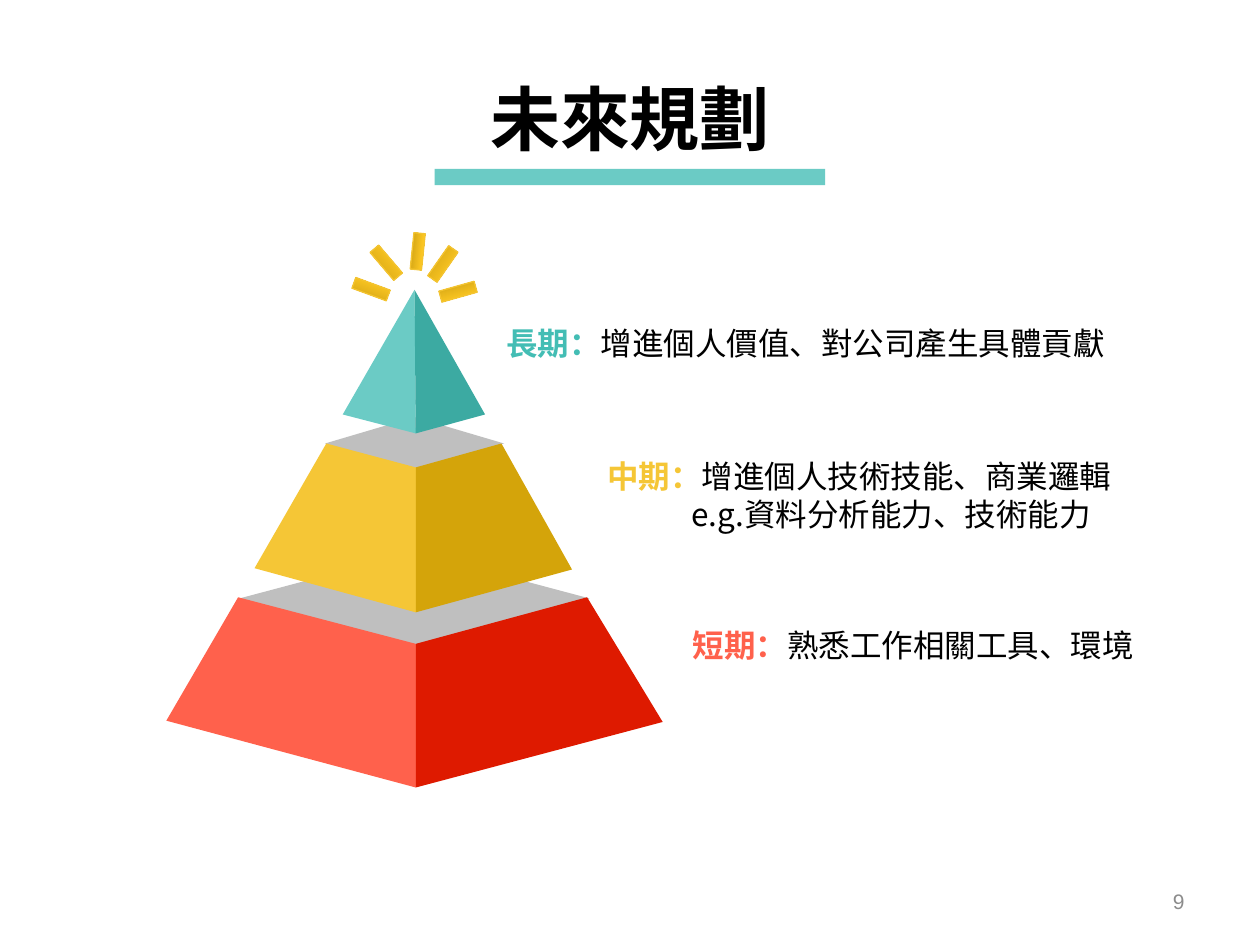
import collections
import pptx
import pptx.dml.color
import pptx.enum.shapes
import pptx.enum.text
import pptx.oxml
import pptx.oxml.ns
import pptx.util

PX = 9144  # 100 px to the inch
ALIGN = pptx.enum.text.PP_ALIGN
SHAPE = pptx.enum.shapes.MSO_SHAPE
Box = collections.namedtuple("Box", "left top width height")
# Points are relative to the pyramid box; the ridge is the front edge.
Tier = collections.namedtuple(
    "Tier", "lid top_left top_right ridge_top base_left base_right ridge_base light dark")


class Theme:
    font, cjk_font = "Arial", "Noto Sans CJK SC"
    title_size, label_size, number_size = 40, 18, 12
    text, muted, lid = "000000", "8C8C8C", "BFBFBF"
    teal, teal_dark, teal_text = "6BCBC5", "3CAAA2", "43BDB4"
    yellow, yellow_dark = "F5C636", "D4A40A"
    red, red_dark = "FF614C", "DE1A00"
    ray_start, ray_end, ray_line = "CC9F13", "FFC923", "F4C430"


TIERS = [
    Tier(Box(58, 243, 278, 74), (57, 279), (334, 279), (198, 316),
         (0, 377), (394, 378), (198, 430), Theme.red, Theme.red_dark),
    Tier(Box(126, 136, 142, 42), (127, 157), (266, 157), (198, 176),
         (70, 256), (322, 257), (198, 291), Theme.yellow, Theme.yellow_dark),
    Tier(None, (197, 35), (197, 35), (197, 35),
         (140, 134), (253, 134), (198, 149), Theme.teal, Theme.teal_dark),
]
# Left, top and rotation of each ray
RAYS = [(0, 30, 20.2), (12, 9, 49.5), (37, 0, 95.9), (57, 10, 125), (69, 32, 164.3)]
LABELS = [
    (Box(392, 252, 558, 40), "長期：", "增進個人價值、對公司產生具體貢獻", None, Theme.teal_text),
    (Box(472, 357, 446, 71), "中期：", "增進個人技術技能、商業邏輯",
     "e.g.資料分析能力、技術能力", Theme.yellow),
    (Box(540, 492, 379, 40), "短期：", "熟悉工作相關工具、環境", None, Theme.red),
]


def rgb(color):
    return pptx.dml.color.RGBColor.from_string(color)


def paint(shape, color):
    shape.shadow.inherit = False
    shape.fill.solid()
    shape.fill.fore_color.rgb = rgb(color)
    shape.line.fill.background()


def add_shape(slide, kind, box):
    return slide.shapes.add_shape(kind, *(length * PX for length in box))


def add_text_frame(slide, box):
    text_frame = slide.shapes.add_textbox(*(length * PX for length in box)).text_frame
    text_frame.word_wrap = True
    text_frame.vertical_anchor = pptx.enum.text.MSO_ANCHOR.MIDDLE
    return text_frame


def format_run(run, font, size, color, bold=False):
    run.font.size = pptx.util.Pt(size)
    run.font.bold = bold
    run.font.color.rgb = rgb(color)
    run.font.name = font
    east_asian = pptx.oxml.parse_xml(
        f'<a:ea {pptx.oxml.ns.nsdecls("a")} typeface="{Theme.cjk_font}"/>')
    run.font._element.append(east_asian)


def add_line(slide, box, text, align, size, color, bold=False):
    paragraph = add_text_frame(slide, box).paragraphs[0]
    paragraph.text = text
    paragraph.alignment = align
    format_run(paragraph.runs[0], Theme.font, size, color, bold)


def add_title(slide, box):
    bar = add_shape(slide, SHAPE.RECTANGLE,
                    Box(box.left + 130, box.top + 79, box.width - 260, 13))
    paint(bar, Theme.teal)
    add_line(slide, box, "未來規劃", ALIGN.CENTER, Theme.title_size, Theme.text, True)


def add_face(slide, box, points, color):
    corners = [(box.left + x, box.top + y) for x, y in points]
    builder = slide.shapes.build_freeform(*corners[0], scale=PX)
    builder.add_line_segments(corners[1:], close=True)
    paint(builder.convert_to_shape(), color)


def add_pyramid(slide, box):
    for tier in TIERS:
        if tier.lid:
            lid = tier.lid
            diamond = add_shape(slide, SHAPE.DIAMOND, lid._replace(
                left=box.left + lid.left, top=box.top + lid.top))
            paint(diamond, Theme.lid)
        add_face(slide, box, [tier.top_left, tier.ridge_top, tier.ridge_base, tier.base_left],
                 tier.light)
        add_face(slide, box, [tier.top_right, tier.base_right, tier.ridge_base, tier.ridge_top],
                 tier.dark)


def add_rays(slide, box):
    for left, top, rotation in RAYS:
        ray = add_shape(slide, SHAPE.RECTANGLE, Box(box.left + left, box.top + top, 29, 9))
        ray.rotation = rotation
        ray.shadow.inherit = False
        ray.fill.gradient()
        ray.fill.gradient_angle = 90
        start, end = ray.fill.gradient_stops
        start.position, start.color.rgb = 0, rgb(Theme.ray_start)
        end.position, end.color.rgb = 0.8, rgb(Theme.ray_end)
        ray.line.color.rgb = rgb(Theme.ray_line)
        ray.line.width = pptx.util.Pt(0.75)


def add_label(slide, box, term, goal, example, color):
    text_frame = add_text_frame(slide, box)
    paragraph = text_frame.paragraphs[0]
    paragraph.text = term
    paragraph.add_run().text = goal
    term_run, goal_run = paragraph.runs
    format_run(term_run, Theme.cjk_font, Theme.label_size, color, True)
    format_run(goal_run, Theme.cjk_font, Theme.label_size, Theme.text)
    if example:
        paragraph = text_frame.add_paragraph()
        paragraph.text = example
        # Indent the example under the goal
        paragraph._p.get_or_add_pPr().set("marL", str(67 * PX))
        format_run(paragraph.runs[0], Theme.cjk_font, Theme.label_size, Theme.text)


def main():
    presentation = pptx.Presentation()
    presentation.slide_width = 1000 * PX
    presentation.slide_height = 750 * PX
    slide = presentation.slides.add_slide(presentation.slide_layouts[6])

    # Heading
    add_title(slide, Box(215, 55, 570, 77))
    # Pyramid and its shine
    add_pyramid(slide, Box(132, 195, 394, 430))
    add_rays(slide, Box(280, 195, 98, 41))
    # Plans by term
    for label in LABELS:
        add_label(slide, *label)
    # Slide number
    add_line(slide, Box(717, 695, 233, 40), "9", ALIGN.RIGHT, Theme.number_size, Theme.muted)

    presentation.save("out.pptx")


if __name__ == "__main__":
    main()
